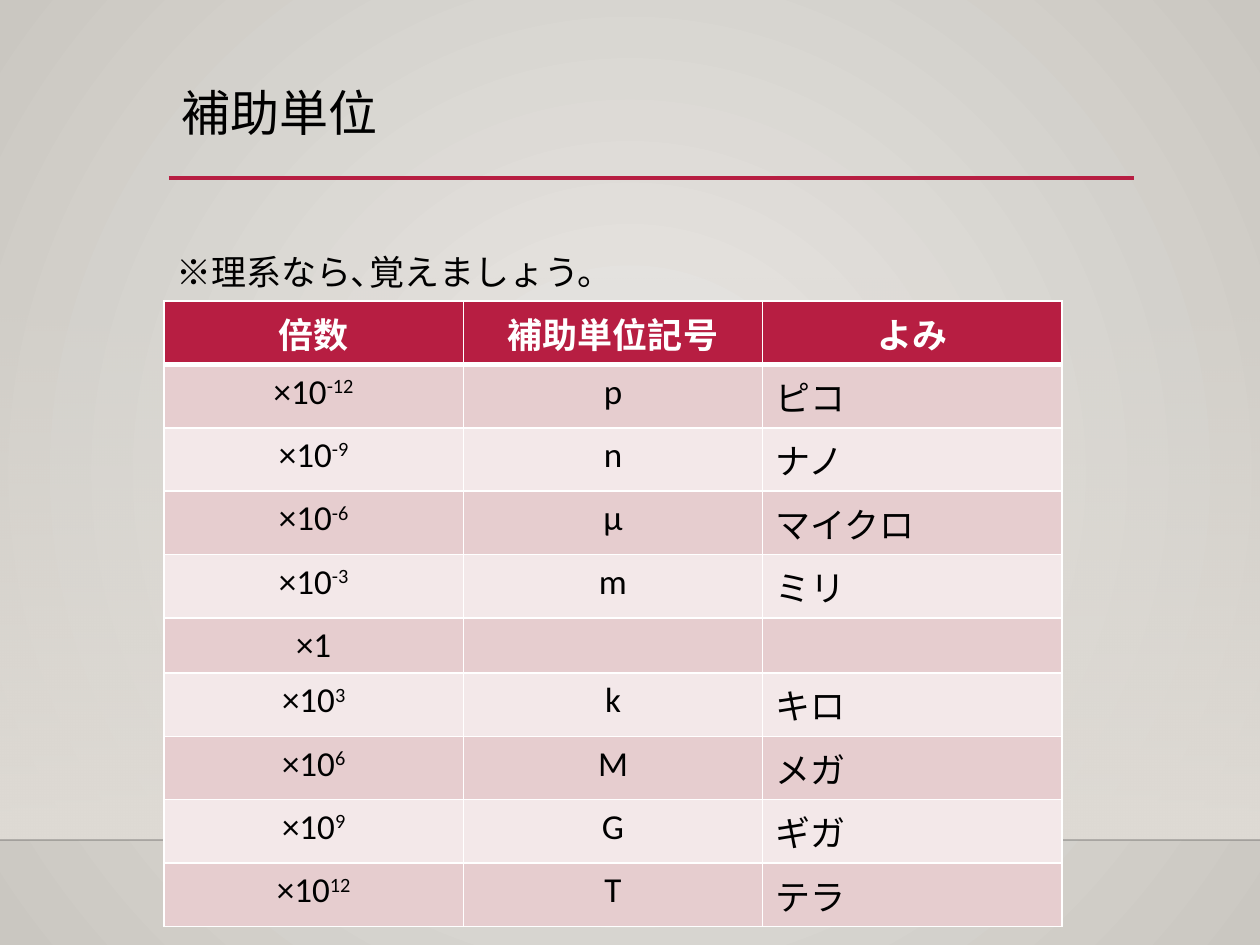
import pptx
import pptx.util
import pptx.dml.color
import pptx.enum.shapes
import pptx.enum.text
import pptx.oxml
import pptx.oxml.ns

RGBColor = pptx.dml.color.RGBColor
BLACK = RGBColor(0x00, 0x00, 0x00)
WHITE = RGBColor(0xFF, 0xFF, 0xFF)
CRIMSON = RGBColor(0xB7, 0x1E, 0x42)
PINK = RGBColor(0xE6, 0xCD, 0xCF)
PALE_PINK = RGBColor(0xF3, 0xE8, 0xE9)
LIGHT_GREY = RGBColor(0xEC, 0xEA, 0xE7)
DARK_GREY = RGBColor(0xCA, 0xC7, 0xC1)
BEIGE = RGBColor(0xDF, 0xDB, 0xD5)
FLOOR_LINE = RGBColor(0x00, 0x00, 0x01)

FONT = "Calibri"
BODY_SIZE = 20
A = pptx.oxml.ns.nsdecls("a")
qn = pptx.oxml.ns.qn

# Each row: factor, exponent, symbol, reading
PREFIXES = [
    ("×10", "-12", "p", "ピコ"),
    ("×10", "-9", "n", "ナノ"),
    ("×10", "-6", "µ", "マイクロ"),
    ("×10", "-3", "m", "ミリ"),
    ("×1", "", "", ""),
    ("×10", "3", "k", "キロ"),
    ("×10", "6", "M", "メガ"),
    ("×10", "9", "G", "ギガ"),
    ("×10", "12", "T", "テラ"),
]
HEADERS = ["倍数", "補助単位記号", "よみ"]


def px(n):
    return pptx.util.Emu(n * 914400 // 126)


def alpha_xml(alpha):
    return f'<a:alpha {A} val="{alpha * 1000}"/>' if alpha < 100 else ""


class SlideBuilder:
    def __init__(self, slide):
        self.slide = slide

    def gradient(self, fill, parent, stops, direction):
        """Give a fill the stops (position, colour, alpha) and direction XML."""
        fill.gradient()
        old = parent.find(".//" + qn("a:gradFill"))
        gs = "".join(
            f'<a:gs pos="{pos * 1000}"><a:srgbClr val="{color}">'
            f'{alpha_xml(alpha)}</a:srgbClr></a:gs>'
            for pos, color, alpha in stops)
        old.getparent().replace(old, pptx.oxml.parse_xml(
            f'<a:gradFill {A} rotWithShape="1"><a:gsLst>{gs}</a:gsLst>{direction}</a:gradFill>'))

    def background(self):
        fill = self.slide.background.fill
        self.gradient(fill, self.slide.element,
                      [(0, LIGHT_GREY, 100), (100, DARK_GREY, 100)],
                      '<a:path path="circle"><a:fillToRect l="50000" t="50000" '
                      'r="50000" b="50000"/></a:path>')

    def fade(self, x, y, w, h, color):
        s = self.slide.shapes.add_shape(
            pptx.enum.shapes.MSO_SHAPE.RECTANGLE, px(x), px(y), px(w), px(h))
        s.shadow.inherit = False
        s.line.fill.background()
        self.gradient(s.fill, s._element, [(0, color, 0), (100, color, 100)],
                      '<a:lin ang="5400000" scaled="0"/>')

    def line(self, x1, x2, y, color, width, alpha=100):
        s = self.slide.shapes.add_connector(
            pptx.enum.shapes.MSO_CONNECTOR.STRAIGHT, px(x1), px(y), px(x2), px(y))
        s.line.color.rgb = color
        s.line.width = pptx.util.Pt(width)
        if alpha < 100:
            s._element.find(".//" + qn("a:srgbClr")).append(
                pptx.oxml.parse_xml(alpha_xml(alpha)))
        s._element.spPr.append(pptx.oxml.parse_xml(f"<a:effectLst {A}/>"))

    def style(self, p, size, color=BLACK, bold=False):
        p.font.name = FONT
        p.font.size = pptx.util.Pt(size)
        p.font.color.rgb = color
        p.font.bold = bold

    def text(self, x, y, w, h, text, size, wrap=True, spacing=1.0):
        s = self.slide.shapes.add_textbox(px(x), px(y), px(w), px(h))
        tf = s.text_frame
        tf.word_wrap = wrap
        p = tf.paragraphs[0]
        p.text = text
        p.line_spacing = spacing
        self.style(p, size)

    def cell(self, cell, text, fill, exponent="", centered=True, header=False, top=1):
        tc_pr = cell._tc.get_or_add_tcPr()
        for side, width in (("L", 1), ("R", 1), ("T", top), ("B", 3 if header else 1)):
            tc_pr.append(pptx.oxml.parse_xml(
                f'<a:ln{side} {A} w="{width * 12700}"><a:solidFill>'
                f'<a:srgbClr val="{WHITE}"/></a:solidFill></a:ln{side}>'))
        cell.fill.solid()
        cell.fill.fore_color.rgb = fill
        if not text:
            return
        p = cell.text_frame.paragraphs[0]
        p.add_run().text = text
        if exponent:
            r = p.add_run()
            r.text = exponent
            r._r.get_or_add_rPr().set("baseline", "30000")
        if centered:
            p.alignment = pptx.enum.text.PP_ALIGN.CENTER
        self.style(p, BODY_SIZE, WHITE if header else BLACK, header)

    def prefix_table(self, x, y, w, h, unit_row_h):
        """Share the height equally, except for the lower row of the plain unit."""
        n_rows, n_cols = len(PREFIXES) + 1, len(HEADERS)
        table = self.slide.shapes.add_table(
            n_rows, n_cols, px(x), px(y), px(w), px(h)).table
        for column in table.columns:
            column.width = px(w) // n_cols
        row_h = px(h - unit_row_h) // (n_rows - 1)
        table.rows[0].height = row_h
        for col, header in enumerate(HEADERS):
            self.cell(table.cell(0, col), header, CRIMSON, header=True)
        for row, (factor, exponent, symbol, reading) in enumerate(PREFIXES, 1):
            table.rows[row].height = row_h if exponent else px(unit_row_h)
            fill = PINK if row % 2 else PALE_PINK
            top = 3 if row == 1 else 1
            self.cell(table.cell(row, 0), factor, fill, exponent, top=top)
            self.cell(table.cell(row, 1), symbol, fill, top=top)
            self.cell(table.cell(row, 2), reading, fill, centered=False, top=top)


def main():
    prs = pptx.Presentation()
    prs.slide_width, prs.slide_height = px(1260), px(945)
    b = SlideBuilder(prs.slides.add_slide(prs.slide_layouts[6]))

    # Backdrop
    b.background()
    b.fade(0, 278, 1260, 562, BEIGE)
    b.line(0, 1260, 840, FLOOR_LINE, 1, alpha=20)

    # Title
    b.line(169, 1134, 178, CRIMSON, 2.5)
    b.text(169, 83, 965, 96, "補助単位", 28, spacing=0.9)

    # Prefix table and its note
    b.prefix_table(164, 301, 898, 626, unit_row_h=55)
    b.text(164, 244, 467, 55, "※理系なら､覚えましょう。", BODY_SIZE, wrap=False)

    prs.save("out.pptx")


if __name__ == "__main__":
    main()
